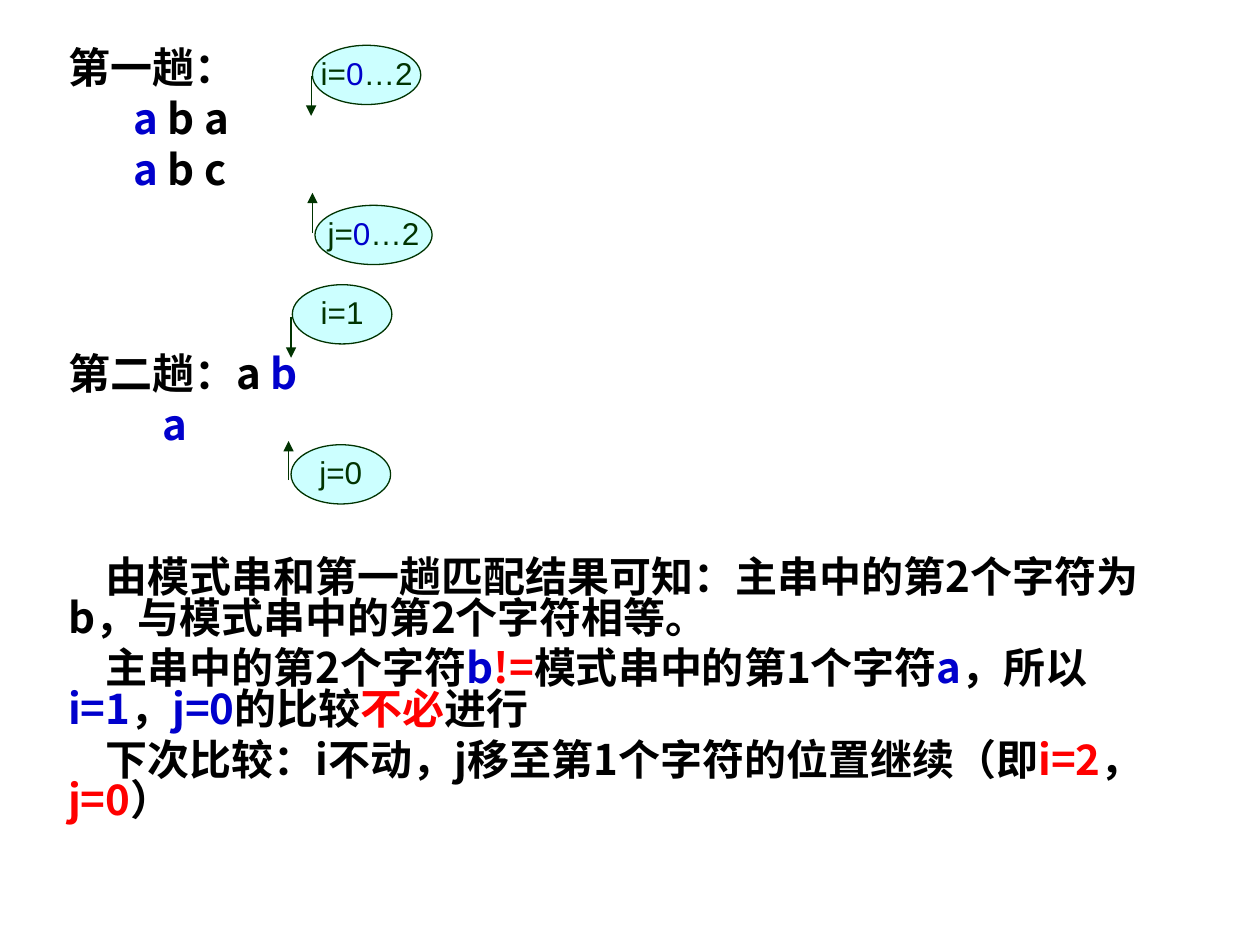
from lxml import etree
from pptx import Presentation
from pptx.dml.color import RGBColor
from pptx.enum.shapes import MSO_CONNECTOR, MSO_SHAPE
from pptx.enum.text import MSO_ANCHOR, MSO_AUTO_SIZE, PP_ALIGN
from pptx.oxml.ns import qn
from pptx.util import Inches, Pt

ELLIPSE = MSO_SHAPE.OVAL
STRAIGHT = MSO_CONNECTOR.STRAIGHT
TOP, MIDDLE = MSO_ANCHOR.TOP, MSO_ANCHOR.MIDDLE
NO_AUTOFIT = MSO_AUTO_SIZE.NONE
CENTER = PP_ALIGN.CENTER

BLACK = RGBColor(0x00, 0x00, 0x00)
BLUE = RGBColor(0x00, 0x00, 0xCC)
RED = RGBColor(0xFF, 0x00, 0x00)
GREEN = RGBColor(0x00, 0x33, 0x00)
CYAN = RGBColor(0xCC, 0xFF, 0xFF)

BODY_FONT, LABEL_FONT = "Noto Sans CJK SC", "Arial"
LINE_SPACING = 0.8
GAP = 6             # points between paragraphs
ROW = 29.1          # points from one row of text to the next

# Each paragraph: left margin, first-line indent, empty rows above, spans
PARAGRAPHS = [
    (0, 0, 0, [("第一趟：", BLACK)]),
    (0.52, 0, 0, [("a", BLUE), (" b a", BLACK)]),
    (0.52, 0, 0, [("a", BLUE), (" b c", BLACK)]),
    (0, 0, 3, [("第二趟：a ", BLACK), ("b", BLUE)]),
    (0.75, 0, 0, [("a", BLUE)]),
    (0, 0.3, 2, [("由模式串和第一趟匹配结果可知：主串中的第2个字符为b，"
                  "与模式串中的第2个字符相等。", BLACK)]),
    (0, 0.3, 0, [("主串中的第2个字符", BLACK), ("b", BLUE), ("!=", RED),
                 ("模式串中的第1个字符", BLACK), ("a", BLUE), ("，所以", BLACK),
                 ("i=1", BLUE), ("，", BLACK), ("j=0", BLUE), ("的比较", BLACK),
                 ("不必", RED), ("进行", BLACK)]),
    (0, 0.3, 0, [("下次比较：i不动，j移至第1个字符的位置继续（即", BLACK),
                 ("i=2", RED), ("，", BLACK), ("j=0", RED), ("）", BLACK)]),
]

# Each index marker: left, top, width, spans, arrow x, arrow start y, arrow end y
MARKERS = [
    (2.48, 0.36, 0.86, [("i=", GREEN), ("0", BLUE), ("…2", GREEN)], 2.47, 0.6, 0.92),
    (2.5, 1.63, 0.93, [("j=", GREEN), ("0", BLUE), ("…2", GREEN)], 2.48, 1.85, 1.53),
    (2.32, 2.26, 0.79, [("i=1", GREEN)], 2.31, 2.52, 2.84),
    (2.31, 3.53, 0.79, [("j=0", GREEN)], 2.29, 3.81, 3.5),
]
MARKER_HEIGHT = 0.47


class SlideBuilder:
    def __init__(self, deck):
        self.slide = deck.slides.add_slide(deck.slide_layouts[1])
        title = self.slide.shapes.title
        title.element.getparent().remove(title.element)

    def spans(self, para, spans, font, size, bold):
        for text, color in spans:
            span = para.add_run()
            span.text = text
            span.font.name = font
            span.font.size = Pt(size)
            span.font.bold = bold
            span.font.color.rgb = color
            latin = span.font._element.find(qn("a:latin"))
            east_asian = etree.Element(qn("a:ea"), typeface=font)
            latin.addnext(east_asian)

    def body(self, left, top, width, height, paragraphs):
        box = self.slide.placeholders[1]
        box.left, box.top = Inches(left), Inches(top)
        box.width, box.height = Inches(width), Inches(height)
        frame = box.text_frame
        frame.word_wrap = True
        frame.auto_size = NO_AUTOFIT
        frame.vertical_anchor = TOP
        for index, (margin, indent, empty_rows, spans) in enumerate(paragraphs):
            para = frame.add_paragraph() if index else frame.paragraphs[0]
            properties = para._p.get_or_add_pPr()
            properties.set("marL", str(Inches(margin)))
            properties.set("indent", str(Inches(indent)))
            etree.SubElement(properties, qn("a:buNone"))
            para.line_spacing = LINE_SPACING
            para.space_before = Pt(GAP + empty_rows * ROW if index else 0)
            self.spans(para, spans, BODY_FONT, 24, True)

    def arrow(self, x, start, end):
        line = self.slide.shapes.add_connector(
            STRAIGHT, Inches(x), Inches(start), Inches(x), Inches(end))
        line.line.color.rgb = GREEN
        line.line.width = Pt(0.75)
        etree.SubElement(line.line._get_or_add_ln(), qn("a:tailEnd"), type="triangle")
        etree.SubElement(line._element.spPr, qn("a:effectLst"))

    def ellipse(self, left, top, width, spans):
        shape = self.slide.shapes.add_shape(
            ELLIPSE, Inches(left), Inches(top), Inches(width), Inches(MARKER_HEIGHT))
        shape.shadow.inherit = False
        shape.fill.solid()
        shape.fill.fore_color.rgb = CYAN
        shape.line.color.rgb = GREEN
        shape.line.width = Pt(0.75)
        frame = shape.text_frame
        frame.word_wrap = False
        frame.vertical_anchor = MIDDLE
        para = frame.paragraphs[0]
        para.alignment = CENTER
        para.line_spacing = 0.9
        self.spans(para, spans, LABEL_FONT, 18, False)


def main():
    deck = Presentation()
    deck.slide_width, deck.slide_height = Inches(10), Inches(7.5)
    page = SlideBuilder(deck)

    # Matching passes and the explanation
    page.body(0.44, 0.36, 8.98, 6.61, PARAGRAPHS)

    # Index markers with their arrows
    for left, top, width, spans, x, start, end in MARKERS:
        page.arrow(x, start, end)
        page.ellipse(left, top, width, spans)

    deck.save("out.pptx")


if __name__ == "__main__":
    main()
